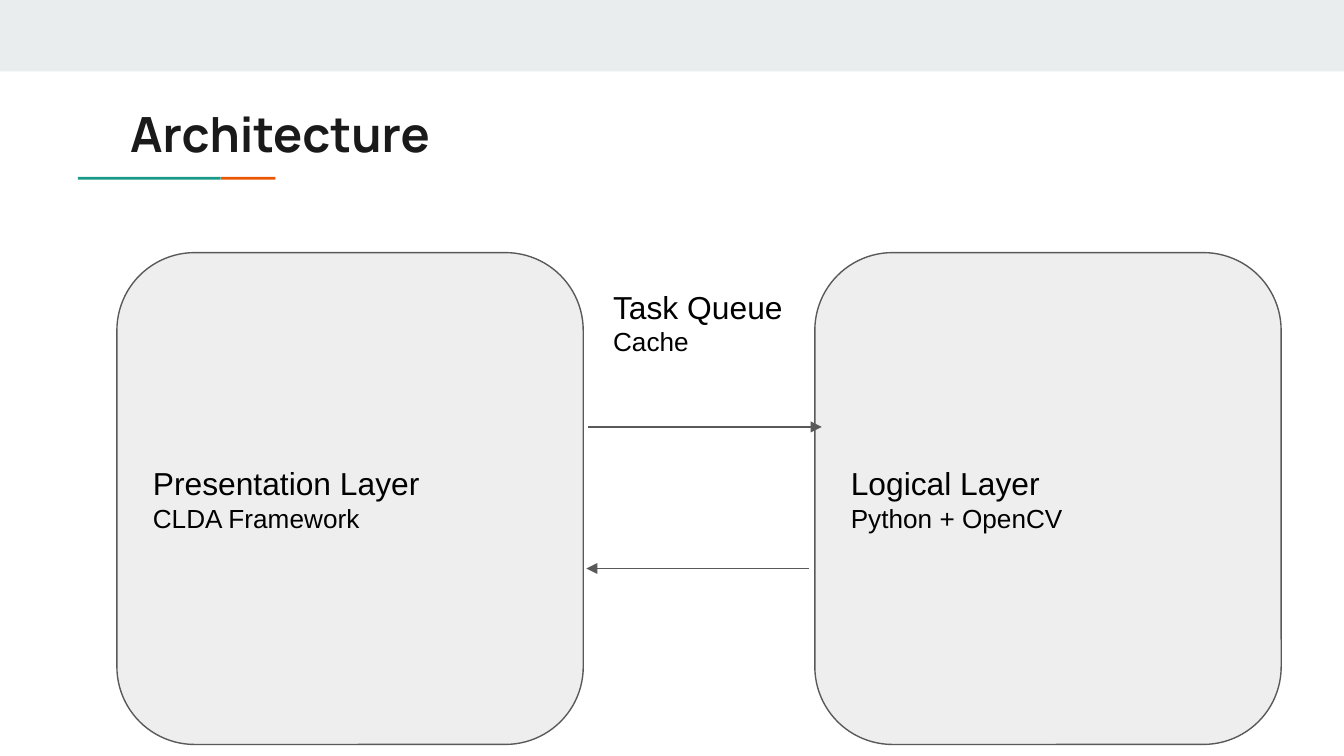
from dataclasses import dataclass

from lxml import etree
from pptx import Presentation, util as u
from pptx.dml.color import RGBColor
from pptx.enum import shapes, text
from pptx.oxml.ns import qn

SLIDE_WIDTH = 10
SLIDE_HEIGHT = SLIDE_WIDTH * 9 / 16
CELL = SLIDE_WIDTH / 100  # square grid of 100 columns
INK, TITLE_INK, OUTLINE, PANEL = "000000", "1A1A1A", "595959", "EEEEEE"
BAND, TEAL, ORANGE = "E9EDEE", "1A9988", "EB5600"
LAYER_TOP, LAYER_WIDTH, LAYER_HEIGHT = 18.8, 34.7, 36.6


@dataclass
class Area:
    """Position and size in grid cells."""
    col: float
    row: float
    cols: float
    rows: float

    def box(self) -> list:
        return [cells(n) for n in (self.col, self.row, self.cols, self.rows)]


@dataclass
class Layer:
    col: float
    name: str
    technology: str


@dataclass
class Flow:
    start: float
    end: float
    row: float


LAYERS = [
    Layer(8.7, "Presentation Layer", "CLDA Framework"),
    Layer(60.63, "Logical Layer", "Python + OpenCV"),
]
FLOWS = [Flow(43.75, 61.15, 31.77), Flow(60.2, 43.63, 42.3)]
BARS = [
    (Area(0, 0, 100, 5.32), BAND),
    (Area(16.43, 13.17, 4.07, 0.2), ORANGE),
    (Area(5.8, 13.17, 10.63, 0.2), TEAL),
]


def cells(count: float) -> u.Emu:
    return u.Inches(count * CELL)


def color(hex_code: str) -> RGBColor:
    return RGBColor.from_string(hex_code)


def write(frame, content: str, *, size: float, first: bool = False,
          font: str = "Arial", ink: str = INK, bold: bool = False) -> None:
    """Put one left-aligned paragraph into a text frame."""
    paragraph = frame.paragraphs[0] if first else frame.add_paragraph()
    paragraph.alignment = text.PP_ALIGN.LEFT
    run = paragraph.add_run()
    run.text = content
    run.font.name, run.font.size, run.font.bold = font, u.Pt(size), bold
    run.font.color.rgb = color(ink)


def prepare(frame, anchor=text.MSO_ANCHOR.TOP):
    frame.word_wrap = True
    frame.vertical_anchor = anchor
    frame.margin_left = frame.margin_right = u.Inches(0.1)
    frame.margin_top = frame.margin_bottom = u.Inches(0.1)
    return frame


def write_label(frame, name: str, technology: str) -> None:
    write(frame, name, size=17, first=True)
    write(frame, technology, size=14)


def draw_shape(slide, kind, area: Area, fill: str):
    shape = slide.shapes.add_shape(kind, *area.box())
    shape.shadow.inherit = False
    shape.fill.solid()
    shape.fill.fore_color.rgb = color(fill)
    shape.line.fill.background()
    return shape


def draw_layer(slide, layer: Layer) -> None:
    area = Area(layer.col, LAYER_TOP, LAYER_WIDTH, LAYER_HEIGHT)
    panel = draw_shape(slide, shapes.MSO_SHAPE.ROUNDED_RECTANGLE, area, PANEL)
    panel.line.color.rgb = color(OUTLINE)
    panel.line.width = u.Pt(0.75)
    frame = prepare(panel.text_frame, text.MSO_ANCHOR.MIDDLE)
    write_label(frame, layer.name, layer.technology)


def draw_flow(slide, flow: Flow) -> None:
    arrow = slide.shapes.add_connector(
        shapes.MSO_CONNECTOR.STRAIGHT, cells(flow.start), cells(flow.row),
        cells(flow.end), cells(flow.row))
    arrow.line.color.rgb = color(OUTLINE)
    arrow.line.width = u.Pt(0.75)
    properties = arrow.element.spPr
    etree.SubElement(properties.find(qn("a:ln")), qn("a:tailEnd"), type="triangle")
    etree.SubElement(properties, qn("a:effectLst"))


def add_frame(slide, area: Area):
    return prepare(slide.shapes.add_textbox(*area.box()).text_frame)


def main() -> None:
    deck = Presentation()
    deck.slide_width, deck.slide_height = u.Inches(SLIDE_WIDTH), u.Inches(SLIDE_HEIGHT)
    slide = deck.slides.add_slide(deck.slide_layouts[6])
    for area, fill in BARS:
        draw_shape(slide, shapes.MSO_SHAPE.RECTANGLE, area, fill)
    heading = add_frame(slide, Area(8.7, 6.73, 84.1, 5.9))
    write(heading, "Architecture", size=26, first=True,
          font="Manrope", ink=TITLE_INK, bold=True)
    for layer in LAYERS:
        draw_layer(slide, layer)
    for flow in FLOWS:
        draw_flow(slide, flow)
    write_label(add_frame(slide, Area(44.63, 20.4, 16.5, 15.4)), "Task Queue", "Cache")
    deck.save("out.pptx")


if __name__ == "__main__":
    main()
